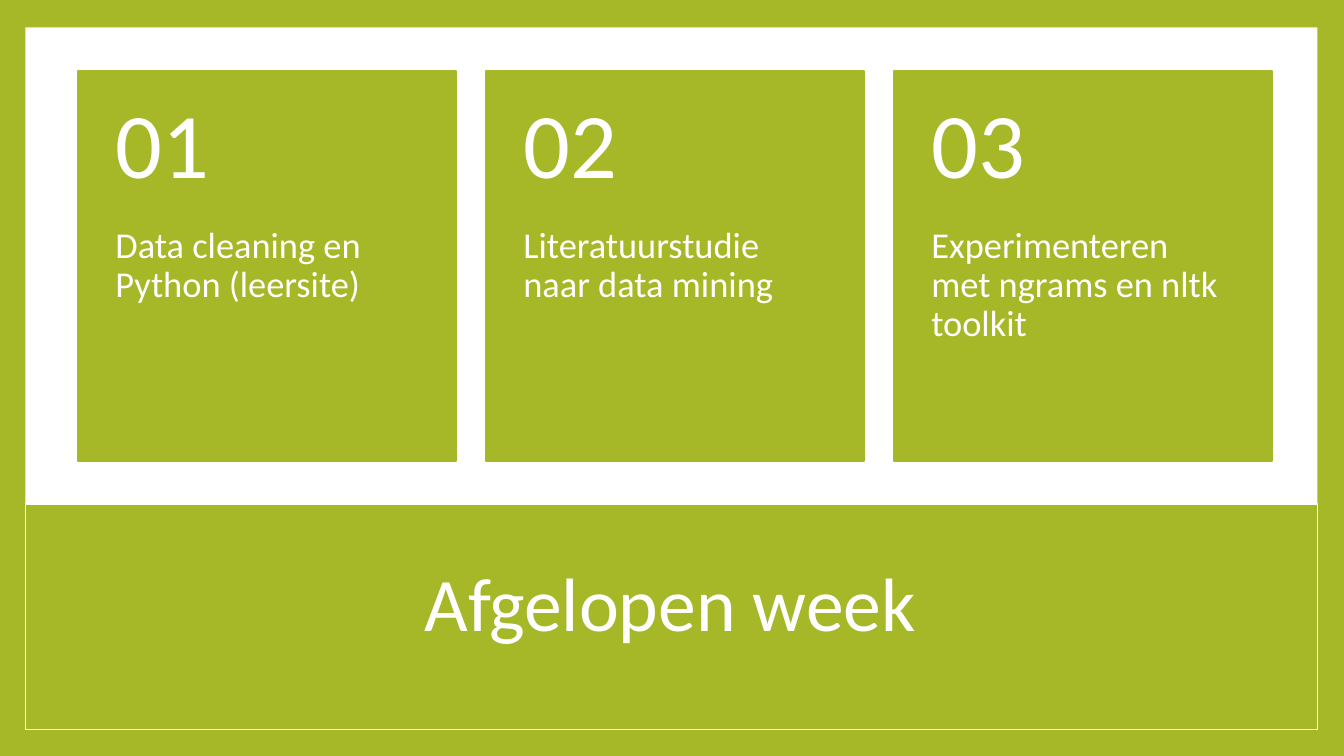
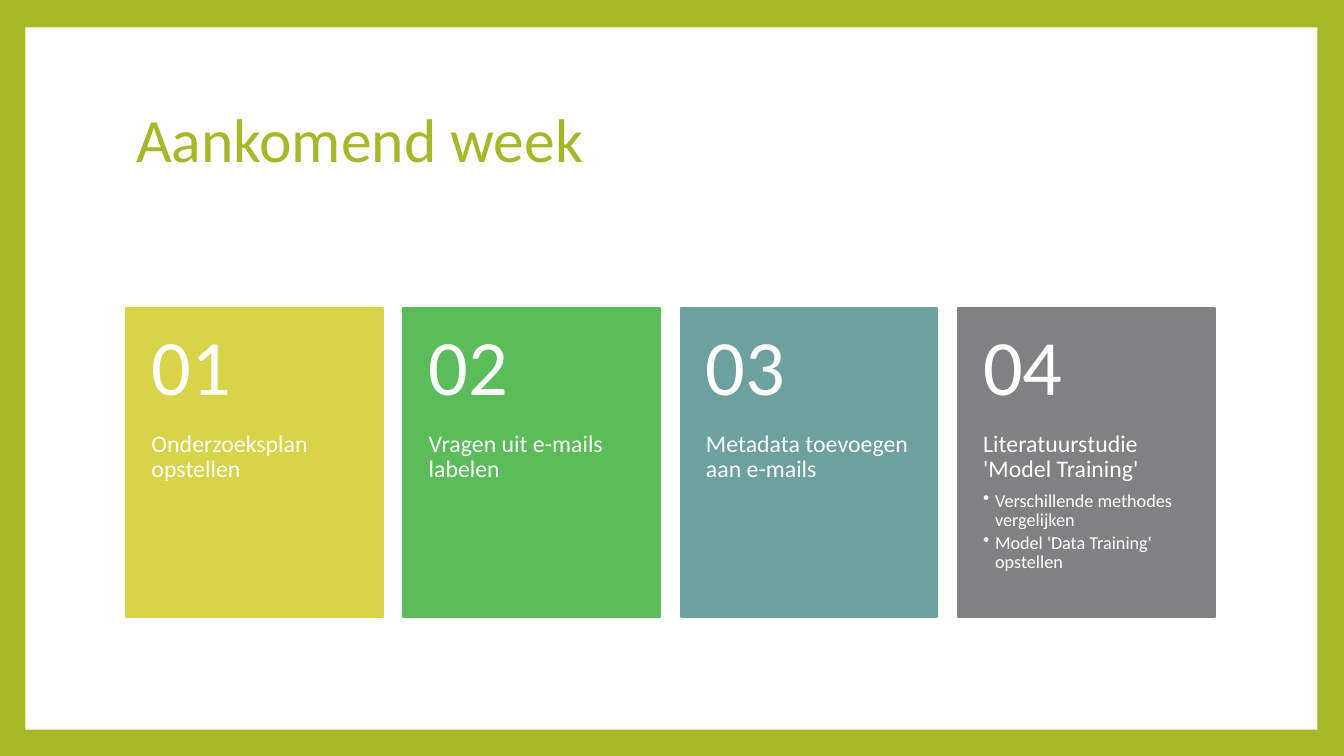
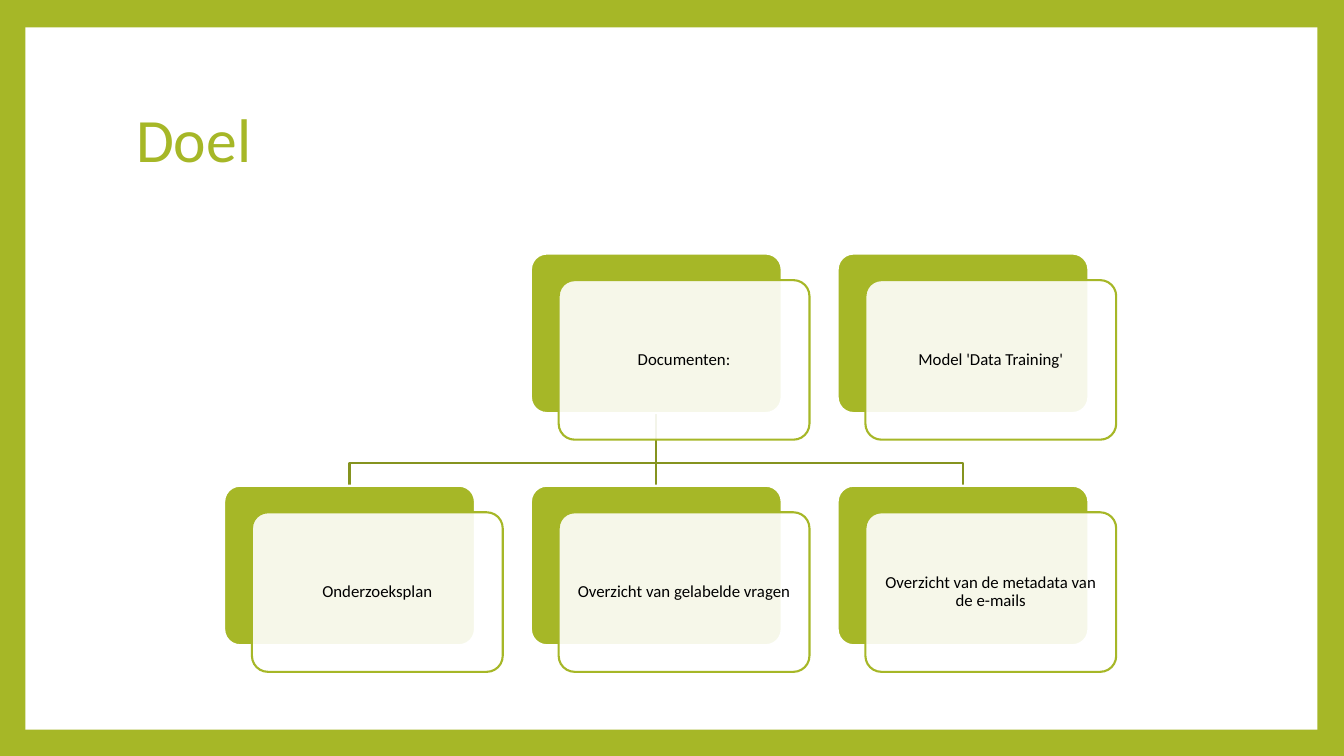
from lxml import etree
from pptx import Presentation
from pptx.dml.color import RGBColor
from pptx.enum.shapes import MSO_CONNECTOR, MSO_SHAPE
from pptx.enum.text import MSO_ANCHOR, MSO_AUTO_SIZE, PP_ALIGN
from pptx.oxml.ns import qn
from pptx.util import Cm, Pt

RECT = MSO_SHAPE.RECTANGLE
ROUNDED = MSO_SHAPE.ROUNDED_RECTANGLE
STRAIGHT = MSO_CONNECTOR.STRAIGHT
TOP, MIDDLE = MSO_ANCHOR.TOP, MSO_ANCHOR.MIDDLE
LEFT, CENTER = PP_ALIGN.LEFT, PP_ALIGN.CENTER
NO_FIT = MSO_AUTO_SIZE.NONE

FONT = "Calibri"
OLIVE, DARK_OLIVE = "A6B727", "85931F"
WHITE, BLACK = "FFFFFF", "000000"
YELLOW, GREEN, TEAL, GRAY = "D7D447", "5ABD59", "6CA1A0", "818183"
PANEL = (0.64, 0.69, 32.56, 17.7)
TITLE_LEFT, TITLE_WIDTH, TITLE_HEIGHT = 3.18, 27.43, 3.76
CARD_GAP = 0.08
NUMBER_SHARE = 0.4


def rgb(value):
    return RGBColor.from_string(value)


def lengths(box):
    return [Cm(value) for value in box]


def apply(target, values):
    for name, value in values.items():
        setattr(target, name, value)


def stroke(line, color, width):
    line.color.rgb = rgb(color)
    line.width = Pt(width)


def add_block(shapes, preset, box, fill, line=None, width=1.5):
    block = shapes.add_shape(preset, *lengths(box))
    block.shadow.inherit = False
    block.fill.solid()
    block.fill.fore_color.rgb = rgb(fill)
    if line:
        stroke(block.line, line, width)
    else:
        block.line.fill.background()
    return block


def add_bullet(paragraph):
    properties = paragraph._p.get_or_add_pPr()
    properties.set("marL", str(Cm(0.3)))
    properties.set("indent", str(-Cm(0.3)))
    etree.SubElement(properties, qn("a:buChar")).set("char", "•")


def write(frame, lines, color, anchor, insets, align=LEFT):
    left, top, right, bottom = lengths(insets)
    apply(frame, {
        "word_wrap": True, "auto_size": NO_FIT, "vertical_anchor": anchor,
        "margin_left": left, "margin_top": top,
        "margin_right": right, "margin_bottom": bottom,
    })
    for index, (text, size, bulleted) in enumerate(lines):
        paragraph = frame.add_paragraph() if index else frame.paragraphs[0]
        after = Pt(size * (0.15 if bulleted else 0.35))
        apply(paragraph, {"alignment": align, "line_spacing": 0.9,
                          "space_before": Pt(0), "space_after": after})
        if bulleted:
            add_bullet(paragraph)
        run = paragraph.add_run()
        run.text = text
        apply(run.font, {"name": FONT, "size": Pt(size)})
        run.font.color.rgb = rgb(color)


def add_title(slide, text, top=1.7, size=44, color=OLIVE, align=LEFT):
    title = slide.shapes.title
    left, top, width, height = lengths((TITLE_LEFT, top, TITLE_WIDTH, TITLE_HEIGHT))
    apply(title, {"left": left, "top": top, "width": width, "height": height})
    write(title.text_frame, [(text, size, False)], color, MIDDLE,
          (0.25, 0.13, 0.25, 0.13), align)


def add_shared_frame(master, slide):
    master.background.fill.solid()
    master.background.fill.fore_color.rgb = rgb(OLIVE)
    panel = add_block(slide.shapes, RECT, PANEL, WHITE)
    panel.element.nvSpPr.cNvPr.set("id", "20")
    master.element.cSld.spTree.insert(2, panel.element)


def add_title_band(slide, text):
    left, top, width, height = PANEL
    band_top = 12.7
    band = add_block(slide.shapes, RECT,
                     (left, band_top, width, top + height - band_top), OLIVE, WHITE, 1)
    slide.shapes.title.element.addprevious(band.element)
    add_title(slide, text, 13.41, 54, WHITE, CENTER)


def add_card(shapes, box, number, color, lines, number_size, right_inset):
    left, top, width, height = box
    split = height * NUMBER_SHARE
    inset, right = width * 0.0985, width * right_inset
    add_block(shapes, RECT, box, color, color)
    label = shapes.add_textbox(*lengths((left, top + split, width, height - split)))
    write(label.text_frame, lines, WHITE, TOP, (inset, 0, right, 0.91))
    numeral = shapes.add_textbox(*lengths((left, top, width, split)))
    write(numeral.text_frame, [(f"{number:02}", number_size, False)], WHITE, MIDDLE,
          (inset, 0.46, inset, 0.46))


def add_card_row(slide, box, cards, number_size, right_inset):
    left, top, total, height = box
    width = total / (len(cards) + CARD_GAP * (len(cards) - 1))
    row = slide.shapes.add_group_shape().shapes
    for index, (color, lines) in enumerate(cards):
        card_left = left + index * width * (1 + CARD_GAP)
        add_card(row, (card_left, top, width, height), index + 1, color, lines,
                 number_size, right_inset)


def add_node(shapes, box, text):
    left, top, width, height = box
    back = add_block(shapes, ROUNDED, box, OLIVE, WHITE)
    plate = add_block(shapes, ROUNDED, (left + 0.7, top + 0.67, width, height),
                      WHITE, OLIVE)
    for block in (back, plate):
        block.adjustments[0] = 0.1
    tint = plate.element.spPr.find(qn("a:solidFill"))[0]
    etree.SubElement(tint, qn("a:alpha")).set("val", "90000")
    write(plate.text_frame, [(text, 12, False)], BLACK, MIDDLE,
          (0.3, 0.24, 0.3, 0.24), CENTER)


def add_fork(shapes, centers, start, bend, end):
    first, middle, last = lengths(centers)
    start, bend, end = lengths((start, bend, end))
    builder = shapes.build_freeform(first, end)
    builder.add_line_segments([(first, bend), (last, bend), (last, end)], close=False)
    bracket = builder.convert_to_shape()
    bracket.shadow.inherit = False
    bracket.fill.background()
    trunk = shapes.add_connector(STRAIGHT, middle, start, middle, end)
    etree.SubElement(trunk.element.spPr, qn("a:effectLst"))
    for part in (bracket, trunk):
        stroke(part.line, DARK_OLIVE, 1.5)


def add_goal_tree(slide, box, roots, children):
    left, top, total, total_height = box
    width, height = 6.32, 4.02
    column_step = (total - width) / (len(children) - 1)
    row_step = total_height - height
    tree = slide.shapes.add_group_shape().shapes
    centers = [left + width / 2 + column * column_step for column in range(len(children))]
    add_fork(tree, centers, top + height, top + 5.28, top + row_step)
    for row, (first_column, texts) in enumerate(((1, roots), (0, children))):
        for column, text in enumerate(texts, first_column):
            add_node(tree, (left + column * column_step, top + row * row_step,
                            width, height), text)


def main():
    deck = Presentation()
    deck.slide_width, deck.slide_height = Cm(33.87), Cm(19.05)
    past, coming, goal = [deck.slides.add_slide(deck.slide_layouts[5]) for _ in range(3)]
    add_shared_frame(deck.slide_master, past)

    add_title_band(past, "Afgelopen week")
    add_card_row(past, (1.97, 1.78, 30.08, 9.83), [
        (OLIVE, [("Data cleaning en Python (leersite)", 26, False)]),
        (OLIVE, [("Literatuurstudie naar data mining", 26, False)]),
        (OLIVE, [("Experimenteren met ngrams en nltk toolkit", 26, False)]),
    ], 66, 0.12)

    add_title(coming, "Aankomend week")
    add_card_row(coming, (3.18, 7.77, 27.43, 7.77), [
        (YELLOW, [("Onderzoeksplan opstellen", 17, False)]),
        (GREEN, [("Vragen uit e-mails labelen", 17, False)]),
        (TEAL, [("Metadata toevoegen aan e-mails", 17, False)]),
        (GRAY, [("Literatuurstudie 'Model Training'", 17, False),
                ("Verschillende methodes vergelijken", 13, True),
                ("Model 'Data Training' opstellen", 13, True)]),
    ], 56, 0.09)

    add_title(goal, "Doel")
    add_goal_tree(goal, (5.65, 6.39, 21.78, 9.87),
                  ["Documenten:", "Model 'Data Training'"],
                  ["Onderzoeksplan", "Overzicht van gelabelde vragen",
                   "Overzicht van de metadata van de e-mails"])
    deck.save("out.pptx")


if __name__ == "__main__":
    main()
